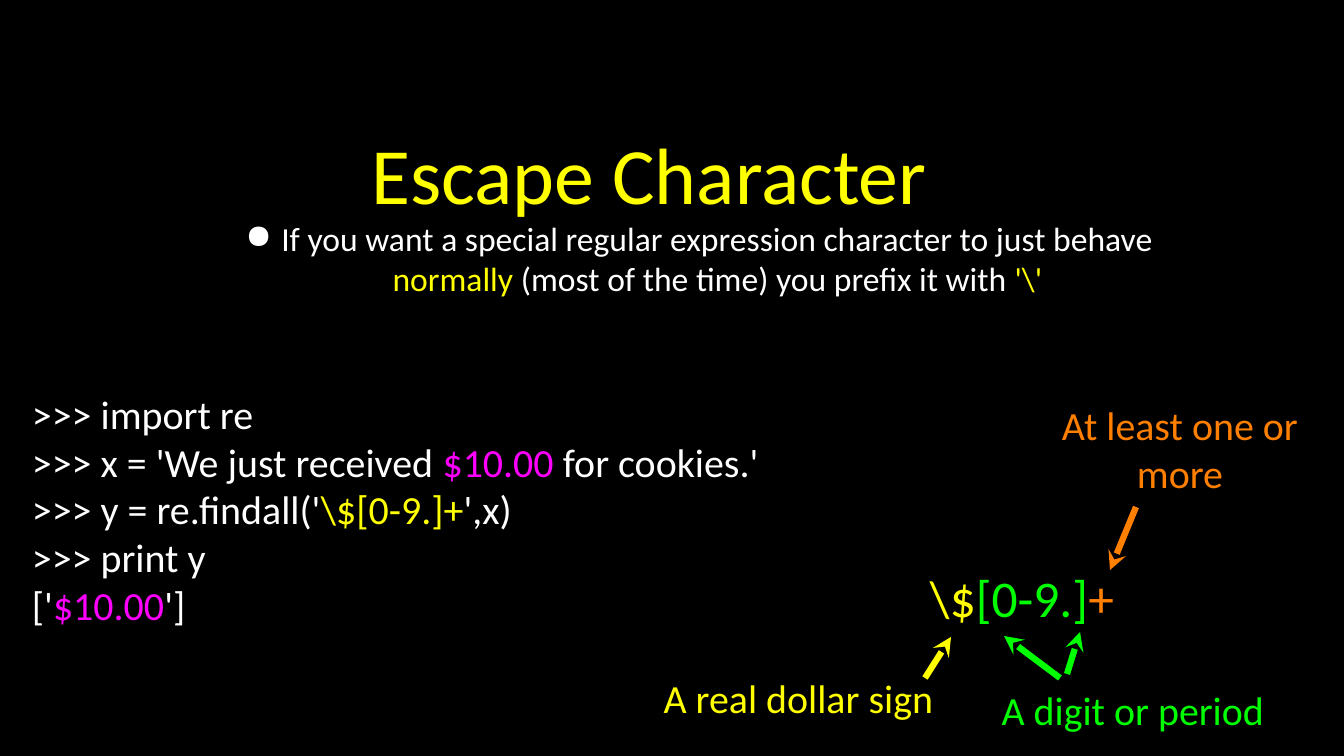
from lxml.etree import SubElement
from pptx import Presentation
from pptx.dml.color import RGBColor
from pptx.enum.shapes import MSO_CONNECTOR
from pptx.enum.text import MSO_ANCHOR, MSO_AUTO_SIZE, PP_ALIGN
from pptx.oxml.ns import qn
from pptx.util import Pt

PX = 12096  # EMU in one px
COLORS = {
    "black": "000000",
    "white": "FFFFFF",
    "yellow": "FFFF00",
    "magenta": "FF00FF",
    "green": "00FF00",
    "orange": "FF7F00",
}


def rgb(name):
    return RGBColor.from_string(COLORS[name])


def add_bullet(para, symbol, color, left, hanging):
    properties = para._p.get_or_add_pPr()
    properties.set("marL", str(left * PX))
    properties.set("indent", str(-hanging * PX))
    bullet_color = SubElement(properties, qn("a:buClr"))
    SubElement(bullet_color, qn("a:srgbClr")).set("val", COLORS[color])
    SubElement(properties, qn("a:buChar")).set("char", symbol)


def write_text(box, lines, size, align=PP_ALIGN.CENTER, anchor=MSO_ANCHOR.MIDDLE,
               margins=(0, 0), bullet=None):
    """Fill a box with lines, each a list of (text, color) pairs."""
    frame = box.text_frame
    frame.word_wrap = True
    frame.auto_size = MSO_AUTO_SIZE.NONE
    frame.vertical_anchor = anchor
    frame.margin_left = frame.margin_right = margins[0] * PX
    frame.margin_top = frame.margin_bottom = margins[1] * PX
    for index, line in enumerate(lines):
        para = frame.add_paragraph() if index else frame.paragraphs[0]
        para.alignment = align
        if bullet:
            add_bullet(para, **bullet)
        for text, color in line:
            span = para.add_run()
            span.text = text
            span.font.name = "Calibri"
            span.font.size = Pt(size)
            span.font.color.rgb = rgb(color)


class SlideBuilder:
    def __init__(self, page, arrow_width=6):
        self.page = page
        self.arrow_width = arrow_width

    def background(self, color):
        fill = self.page.background.fill
        fill.solid()
        fill.fore_color.rgb = rgb(color)

    def title(self, bounds, lines, **text_format):
        box = self.page.shapes.title
        box.left, box.top, box.width, box.height = (value * PX for value in bounds)
        write_text(box, lines, **text_format)

    def text(self, bounds, lines, **text_format):
        box = self.page.shapes.add_textbox(*(value * PX for value in bounds))
        write_text(box, lines, **text_format)

    def arrow(self, tip, end, color):
        line = self.page.shapes.add_connector(
            MSO_CONNECTOR.STRAIGHT, *(value * PX for value in tip + end))
        line.line.color.rgb = rgb(color)
        line.line.width = Pt(self.arrow_width)
        SubElement(line.line._ln, qn("a:headEnd")).set("type", "stealth")
        SubElement(line._element.spPr, qn("a:effectLst"))


def main():
    deck = Presentation()
    deck.slide_width, deck.slide_height = 1344 * PX, 756 * PX
    builder = SlideBuilder(deck.slides.add_slide(deck.slide_layouts[5]))
    builder.background("black")

    # Title and explanation
    builder.title((73, 25, 1152, 295), [[("Escape Character", "yellow")]],
                  size=76, margins=(3, 3))
    builder.text(
        (125, 214, 1094, 132),
        [[("If you want a special regular expression character to just behave ", "white"),
          ("normally", "yellow"),
          (" (most of the time) you prefix it with ", "white"),
          (r"'\'", "yellow")]],
        size=32, anchor=MSO_ANCHOR.TOP, margins=(8, 4),
        bullet={"symbol": "●", "color": "white", "left": 91, "hanging": 36})

    # Interpreter session
    builder.text(
        (32, 389, 831, 240),
        [[(">>> import re", "white")],
         [(">>> x = 'We just received ", "white"), ("$10.00", "magenta"),
          (" for cookies.'", "white")],
         [(">>> y = re.findall('", "white"), (r"\$[0-9.]+", "yellow"), ("',x)", "white")],
         [(">>> print y", "white")],
         [("['", "white"), ("$10.00", "magenta"), ("']", "white")]],
        size=38, align=PP_ALIGN.LEFT)

    # Pattern, in the colours of its labels
    builder.text((930, 566, 201, 62),
                 [[(r"\$", "yellow"), ("[0-9.]", "green"), ("+", "orange")]],
                 size=49, align=PP_ALIGN.LEFT)

    # Labels, each with arrows as (tip, end)
    labels = [
        ("A digit or period", "green", (981, 686, 304, 48),
         [((1004, 636), (1060, 678)), ((1080, 632), (1067, 674))]),
        ("A real dollar sign", "yellow", (641, 674, 315, 48),
         [((951, 637), (925, 678))]),
        ("At least one or more", "orange", (1061, 398, 238, 101),
         [((1110, 570), (1136, 507))]),
    ]
    for text, color, bounds, arrows in labels:
        builder.text(bounds, [[(text, color)]], size=38)
        for tip, end in arrows:
            builder.arrow(tip, end, color)

    deck.save("out.pptx")


if __name__ == "__main__":
    main()
